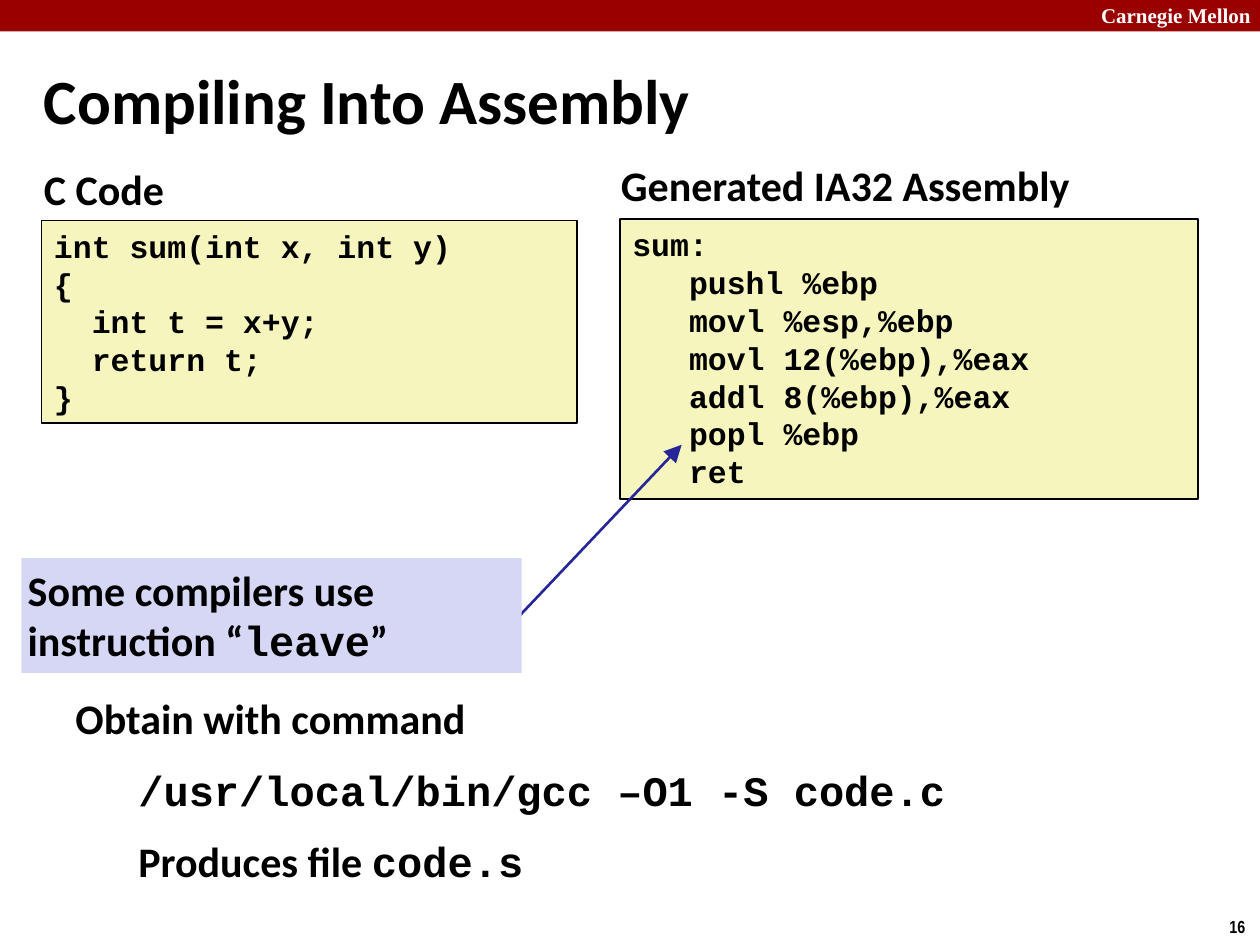
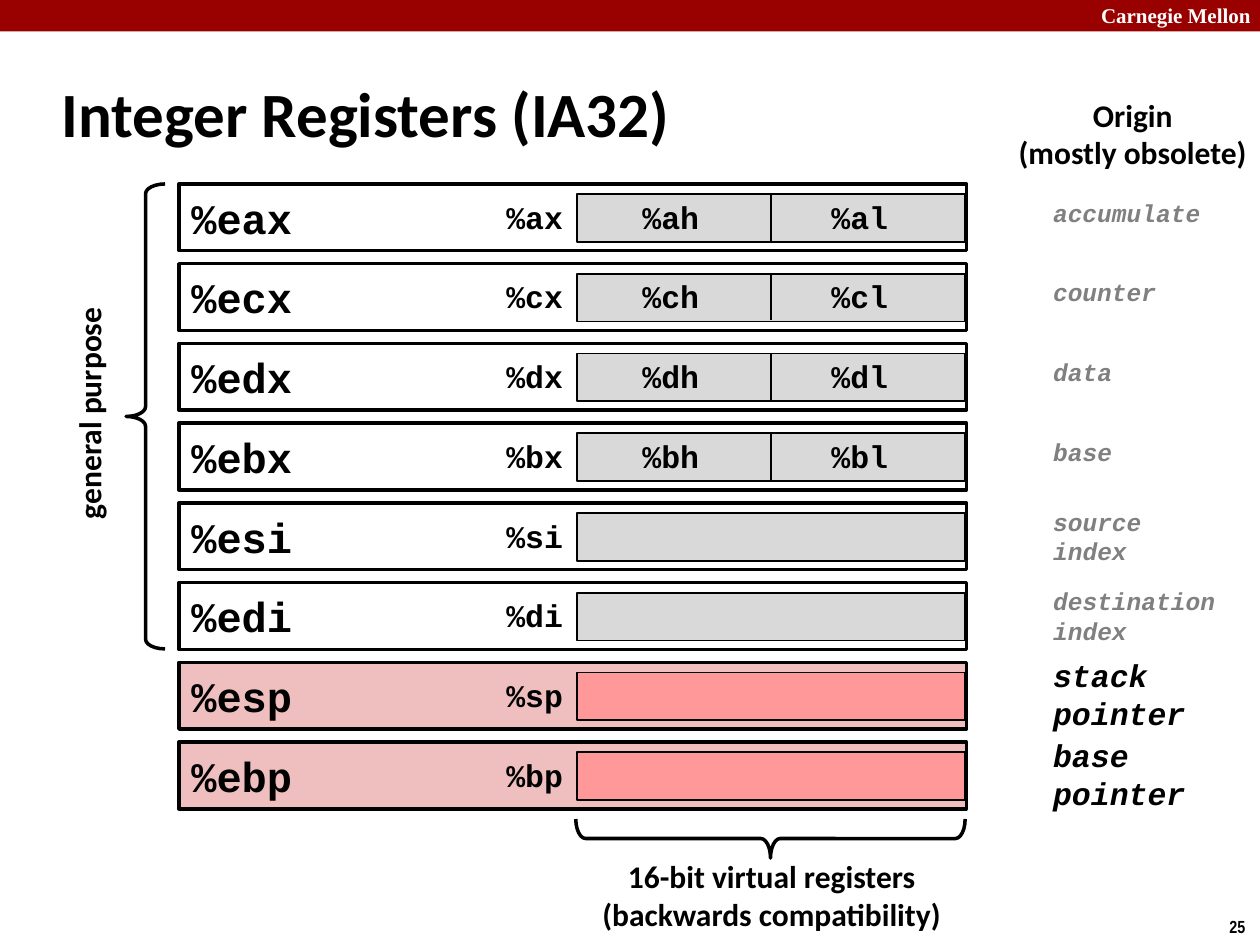
"""Build two lecture slides on IA32 assembly and its integer registers."""
from lxml.etree import SubElement
from pptx import Presentation
from pptx.dml.color import RGBColor
from pptx.enum.shapes import MSO_CONNECTOR as Connector, MSO_SHAPE as Preset
from pptx.enum.text import MSO_ANCHOR as Anchor, PP_ALIGN as Align
from pptx.oxml.ns import qn
from pptx.util import Inches, Pt

BLACK = RGBColor(0x00, 0x00, 0x00)
WHITE = RGBColor(0xFF, 0xFF, 0xFF)
BAND_RED = RGBColor(0x99, 0x00, 0x00)
CODE_YELLOW = RGBColor(0xF6, 0xF5, 0xBD)
NOTE_LILAC = RGBColor(0xD6, 0xD6, 0xF5)
ARROW_BLUE = RGBColor(0x26, 0x26, 0x99)
LIGHT_GRAY = RGBColor(0xD9, 0xD9, 0xD9)
MID_GRAY = RGBColor(0x80, 0x80, 0x80)
POINTER_PINK = RGBColor(0xEF, 0xBF, 0xBF)
POINTER_RED = RGBColor(0xFF, 0x99, 0x99)
SANS, MONO = "Calibri", "Courier New"


def add_box(slide, left, top, width, height, fill=None, line=0, preset=Preset.RECTANGLE):
    """Add a shape, or a plain text box when it has neither fill nor line."""
    place = [Inches(length) for length in (left, top, width, height)]
    if fill is None and not line:
        return slide.shapes.add_textbox(*place)
    shape = slide.shapes.add_shape(preset, *place)
    shape.shadow.inherit = False
    if fill is None:
        shape.fill.background()
    else:
        shape.fill.solid()
        shape.fill.fore_color.rgb = fill
    if line:
        shape.line.color.rgb = BLACK
        shape.line.width = Pt(line)
    else:
        shape.line.fill.background()
    return shape


def write(shape, paragraphs, size, color=BLACK, italic=False, align=Align.LEFT,
          anchor=Anchor.TOP, wrap=True):
    """Fill a shape with paragraphs, each a list of (font, text) runs."""
    frame = shape.text_frame
    frame.word_wrap = wrap
    frame.vertical_anchor = anchor
    for index, runs in enumerate(paragraphs):
        paragraph = frame.add_paragraph() if index else frame.paragraphs[0]
        paragraph.alignment = align
        for font, text in runs:
            run = paragraph.add_run()
            run.text = text
            run.font.name = font
            run.font.size = Pt(size)
            run.font.bold = True
            run.font.italic = italic
            run.font.color.rgb = color
    return frame


presentation = Presentation()
presentation.slide_width = Inches(10)
presentation.slide_height = Inches(7.5)
blank_layout = presentation.slide_layouts[6]

slides = []
for title, number, left, width, height in [
    ("Compiling Into Assembly", "16", 0.25, 7.49, 0.61),
    ("Integer Registers (IA32)", "25", 0.39, 8.3, 0.83),
]:
    slide = presentation.slides.add_slide(blank_layout)
    add_box(slide, 0, 0, 10, 0.25, BAND_RED)
    write(add_box(slide, 8.64, -0.03, 1.43, 0.3),
          [[("Times New Roman", "Carnegie Mellon")]], 12, WHITE)
    write(add_box(slide, 9.66, 7.22, 0.34, 0.27), [[("Arial Narrow", number)]], 10, wrap=False)
    write(add_box(slide, left, 0.48, width, height), [[(SANS, title)]], 36, anchor=Anchor.MIDDLE)
    slides.append(slide)
assembly_slide, register_slide = slides
connectors = []

C_CODE = ["int sum(int x, int y)", "{", "  int t = x+y;", "  return t;", "}"]
ASSEMBLY = ["sum:", "   pushl %ebp", "   movl %esp,%ebp", "   movl 12(%ebp),%eax",
            "   addl 8(%ebp),%eax", "   popl %ebp", "   ret"]
for heading, heading_place, code, code_place in [
    ("C Code", (0.25, 1.25, 1.77, 0.4), C_CODE, (0.33, 1.75, 4.25, 1.61)),
    ("Generated IA32 Assembly", (4.83, 1.22, 4.5, 0.45), ASSEMBLY, (4.92, 1.74, 4.59, 2.22)),
]:
    write(add_box(assembly_slide, *heading_place), [[(SANS, heading)]], 24)
    write(add_box(assembly_slide, *code_place, CODE_YELLOW, 1),
          [[(MONO, line)] for line in code], 18)

command = write(add_box(assembly_slide, 0.5, 5.45, 8.17, 1.71), [
    [(SANS, "Obtain with command")],
    [(MONO, "/usr/local/bin/gcc –O1 -S code.c")],
    [(SANS, "Produces file "), (MONO, "code.s")],
], 24)
for paragraph in command.paragraphs[1:]:
    paragraph.space_before = Pt(12)
    paragraph.level = 1
    properties = paragraph._p.get_or_add_pPr()
    properties.set("marL", str(Inches(0.5)))
    properties.set("indent", "0")

arrow = assembly_slide.shapes.add_connector(
    Connector.STRAIGHT, Inches(5.41), Inches(3.53), Inches(4.13), Inches(4.88))
arrow.line.color.rgb = ARROW_BLUE
arrow.line.width = Pt(1.5)
SubElement(arrow.line._get_or_add_ln(), qn("a:headEnd"), type="triangle", w="lg", len="lg")
connectors.append(arrow)

leave_note = write(add_box(assembly_slide, 0.17, 4.43, 3.97, 0.91, NOTE_LILAC), [
    [(SANS, "Some compilers use instruction “"), (MONO, "leave"), (SANS, "”")],
], 24)
leave_note.margin_left = leave_note.margin_right = Inches(0.05)

REGISTERS = [
    ("ax", True, ["accumulate"]),
    ("cx", True, ["counter"]),
    ("dx", True, ["data"]),
    ("bx", True, ["base"]),
    ("si", False, ["source", "index"]),
    ("di", False, ["destination", "index"]),
    ("sp", False, ["stack", "pointer"]),
    ("bp", False, ["base", "pointer"]),
]
FIRST_TOP, LAST_TOP = 1.46, 5.89
pitch = (LAST_TOP - FIRST_TOP) / (len(REGISTERS) - 1)
for row, (name, has_bytes, origin) in enumerate(REGISTERS):
    top = FIRST_TOP + row * pitch
    is_pointer = "pointer" in origin
    full_fill, half_fill = (POINTER_PINK, POINTER_RED) if is_pointer else (WHITE, LIGHT_GRAY)
    write(add_box(register_slide, 1.42, top, 6.25, 0.53, full_fill, 2),
          [[(MONO, f"%e{name}")]], 24, anchor=Anchor.MIDDLE)
    add_box(register_slide, 4.58, top + 0.08, 3.08, 0.38, half_fill, 1)
    labels = [(3.92, name)]
    if has_bytes:
        labels += [(5, name[0] + "h"), (6.5, name[0] + "l")]
        divider = register_slide.shapes.add_connector(
            Connector.STRAIGHT, Inches(6.12), Inches(top + 0.08), Inches(6.12), Inches(top + 0.45))
        divider.line.color.rgb = BLACK
        divider.line.width = Pt(1)
        connectors.append(divider)
    for left, label in labels:
        write(add_box(register_slide, left, top + 0.06, 0.65, 0.4),
              [[(MONO, f"%{label}")]], 18, wrap=False)

    size, color = (18, BLACK) if is_pointer else (14, MID_GRAY)
    offset = -0.1 if is_pointer else -0.02 if len(origin) == 2 else 0.06
    width = 0.23 + max(map(len, origin)) * size / 119
    height = 0.1 + len(origin) * size / 60
    write(add_box(register_slide, 8.26, top + offset, width, height),
          [[(MONO, word)] for word in origin], size, color, italic=True, wrap=False)

for place, rotation in [((5.96, 5.11, 0.31, 3.09), 90), ((1, 1.46, 0.31, 3.69), 180)]:
    brace = add_box(register_slide, *place, line=2, preset=Preset.RIGHT_BRACE)
    brace.adjustments[0] = 0.25
    brace.adjustments[1] = 0.5
    brace.rotation = rotation

for place, lines, rotation in [
    ((4.67, 6.75, 2.91, 0.71), ["16-bit virtual registers", "(backwards compatibility)"], 0),
    ((-0.24, 3.08, 1.89, 0.4), ["general purpose"], 270),
    ((7.98, 0.71, 2.02, 0.71), ["Origin", "(mostly obsolete)"], 0),
]:
    caption = add_box(register_slide, *place)
    caption.rotation = rotation
    write(caption, [[(SANS, line)] for line in lines], 18, align=Align.CENTER, wrap=False)

for connector in connectors:
    SubElement(connector._element.spPr, qn("a:effectLst"))

presentation.save("out.pptx")
